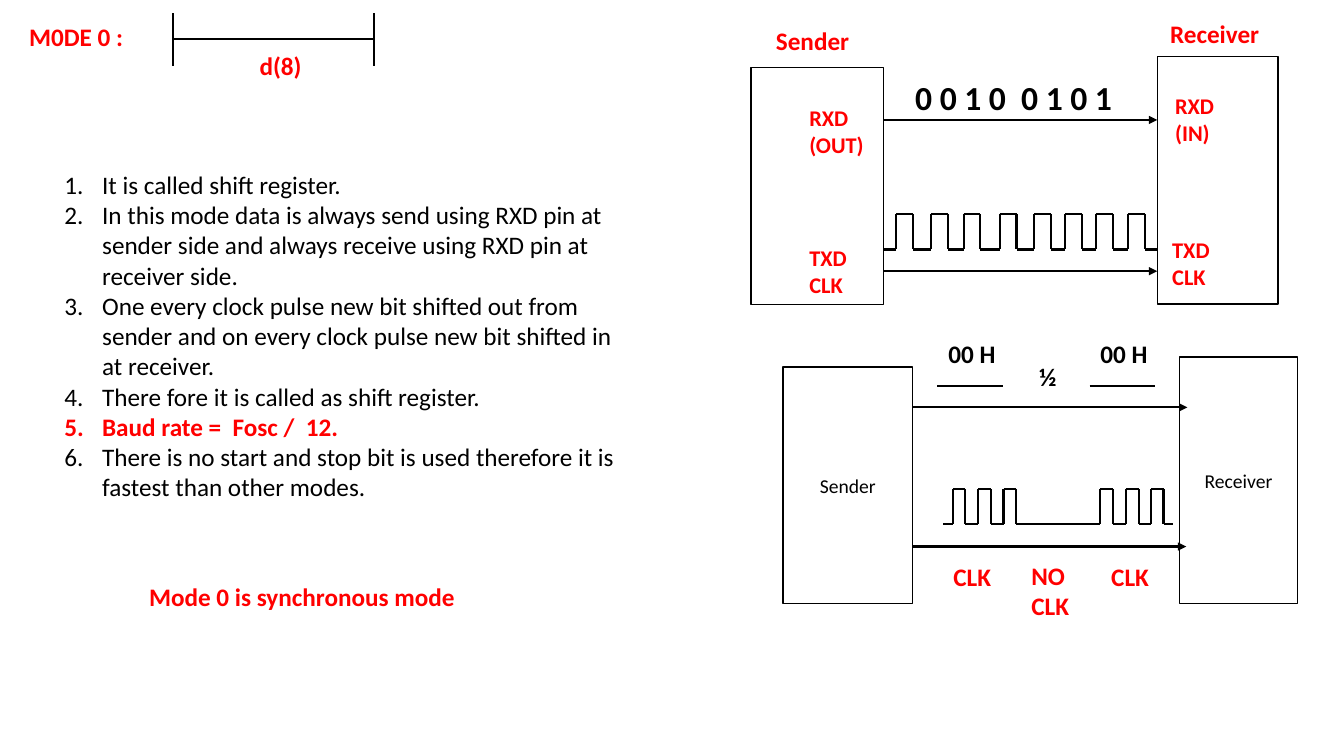
from dataclasses import dataclass

from lxml.etree import SubElement
from pptx import Presentation
from pptx.dml.color import RGBColor
from pptx.enum.shapes import MSO_CONNECTOR, MSO_SHAPE
from pptx.enum.text import MSO_ANCHOR, MSO_AUTO_SIZE, PP_ALIGN
from pptx.oxml.ns import qn
from pptx.slide import Slide
from pptx.text.text import TextFrame
from pptx.util import Pt


@dataclass(frozen=True)
class Theme:
    font: str = "Calibri"
    ink: RGBColor = RGBColor(0, 0, 0)
    accent: RGBColor = RGBColor(255, 0, 0)
    body: float = 18
    pin: float = 16
    device: float = 14
    bits: float = 24
    outline: float = 1
    stroke: float = 1.5


THEME = Theme()


@dataclass(frozen=True)
class Label:
    text: str
    left: float
    top: float
    width: float
    height: float
    size: float = THEME.body
    color: RGBColor = THEME.accent
    wrap: bool = True


@dataclass(frozen=True)
class Device:
    left: float
    top: float
    width: float
    height: float
    name: str = ""


@dataclass(frozen=True)
class Stroke:
    x1: float
    y1: float
    x2: float
    y2: float
    arrow: bool = False


@dataclass(frozen=True)
class Clock:
    starts: tuple[float, ...]
    high: float
    low: float
    lead: float
    pulse: float


DEVICES = [
    Device(536.4, 48.2, 94.8, 169.2),
    Device(826.6, 40.4, 86.4, 176.8),
    Device(559.4, 262.1, 92.5, 169.2, "Sender"),
    Device(842.4, 254.9, 84.6, 176.4, "Receiver"),
]

STROKES = [
    Stroke(123.5, 28, 267.1, 28),
    Stroke(123.8, 9.4, 123.8, 46.8),
    Stroke(267.1, 9.4, 267.1, 46.8),
    Stroke(631, 85.7, 826.6, 85.7, True),
    Stroke(631, 193.7, 826.6, 193.7, True),
    Stroke(652, 291, 848.2, 291, True),
    Stroke(652, 390.4, 847.4, 390.4, True),
    Stroke(669.6, 275.8, 716.4, 275.8),
    Stroke(778.3, 275.8, 825.1, 275.8),
    Stroke(732.5, 374.6, 779, 374.6),
]

CLOCKS = [
    Clock((630.9, 655.8, 679.1, 704.9, 729.4, 751.8, 773.5, 796.4), 152.8, 178.2, 9.2, 12),
    Clock((673.7, 691.8, 709.9), 349.2, 374.6, 6.9, 9),
    Clock((779, 797.4, 815.2), 349.2, 374.6, 6.9, 9),
]

LABELS = [
    Label("d(8)", 178.3, 32.4, 51.4, 29),
    Label("M0DE 0 :", 13.7, 11.5, 90.7, 29),
    Label("Sender", 547.2, 14.4, 90.7, 29),
    Label("Receiver", 828.7, 9.6, 90.7, 29),
    Label("TXD\nCLK", 571, 170.6, 43.4, 46, THEME.pin),
    Label("RXD\n(OUT)", 571, 71.1, 54, 46, THEME.pin),
    Label("RXD\n(IN)", 832.3, 62.6, 54, 46, THEME.pin),
    Label("TXD\nCLK", 830.2, 165, 43.4, 46, THEME.pin),
    Label("0 0 1 0  0 1 0 1", 646.6, 51.1, 193.7, 36, THEME.bits, THEME.ink),
    Label("00 H", 670.3, 238.3, 49, 29, color=THEME.ink, wrap=False),
    Label("00 H", 779, 238.3, 49, 29, color=THEME.ink, wrap=False),
    Label("½", 735.1, 254.2, 31, 29, color=THEME.ink, wrap=False),
    Label("CLK", 673.9, 397.4, 41.8, 29, wrap=False),
    Label("CLK", 786.6, 397.1, 41.8, 29, wrap=False),
    Label("NO\nCLK", 729.6, 396.7, 43.2, 51, wrap=False),
    Label("Mode 0 is synchronous mode", 99.4, 411.8, 415.4, 29),
]

BAUD_RATE = "Baud rate =  Fosc /  12."
NOTES = [
    "It is called shift register.",
    "In this mode data is always send using RXD pin at sender side "
    "and always receive using RXD pin at receiver side.",
    "One every clock pulse new bit shifted out from sender "
    "and on every clock pulse new bit shifted in at receiver.",
    "There fore it is called as shift register.",
    BAUD_RATE,
    "There is no start and stop bit is used therefore it is fastest than other modes.",
]


def style_text(frame: TextFrame, size: float, color: RGBColor, bold: bool) -> None:
    for para in frame.paragraphs:
        for span in para.runs:
            span.font.name = THEME.font
            span.font.size = Pt(size)
            span.font.color.rgb = color
            span.font.bold = bold


def add_label(page: Slide, label: Label) -> TextFrame:
    box = page.shapes.add_textbox(
        Pt(label.left), Pt(label.top), Pt(label.width), Pt(label.height)
    )
    frame = box.text_frame
    frame.word_wrap = label.wrap
    frame.auto_size = MSO_AUTO_SIZE.SHAPE_TO_FIT_TEXT
    frame.text = label.text
    style_text(frame, label.size, label.color, True)
    return frame


def add_notes(page: Slide) -> None:
    frame = add_label(page, Label("\n".join(NOTES), 38.9, 117.4, 415.4, 247))
    style_text(frame, THEME.body, THEME.ink, False)
    for para in frame.paragraphs:
        properties = para._p.get_or_add_pPr()
        properties.set("marL", str(Pt(27)))
        properties.set("indent", str(-Pt(27)))
        SubElement(properties, qn("a:buAutoNum"), type="arabicPeriod")
        if para.text == BAUD_RATE:
            para.runs[0].font.bold = True
            para.runs[0].font.color.rgb = THEME.accent


def add_device(page: Slide, device: Device) -> None:
    box = page.shapes.add_shape(
        MSO_SHAPE.RECTANGLE,
        Pt(device.left), Pt(device.top), Pt(device.width), Pt(device.height),
    )
    box.shadow.inherit = False
    box.fill.background()
    box.line.color.rgb = THEME.ink
    box.line.width = Pt(THEME.outline)
    if device.name:
        frame = box.text_frame
        frame.text = device.name
        frame.vertical_anchor = MSO_ANCHOR.MIDDLE
        frame.paragraphs[0].alignment = PP_ALIGN.CENTER
        style_text(frame, THEME.device, THEME.ink, False)


def add_stroke(page: Slide, stroke: Stroke) -> None:
    line = page.shapes.add_connector(
        MSO_CONNECTOR.STRAIGHT,
        Pt(stroke.x1), Pt(stroke.y1), Pt(stroke.x2), Pt(stroke.y2),
    )
    line.line.color.rgb = THEME.ink
    line.line.width = Pt(THEME.stroke)
    if stroke.arrow:
        SubElement(line.line._get_or_add_ln(), qn("a:tailEnd"), type="triangle")
    SubElement(line._element.spPr, qn("a:effectLst"))


def add_clock(page: Slide, clock: Clock) -> None:
    for start in clock.starts:
        rise = start + clock.lead
        fall = rise + clock.pulse
        corners = [
            (start, clock.low), (rise, clock.low), (rise, clock.high),
            (fall, clock.high), (fall, clock.low), (fall + clock.lead, clock.low),
        ]
        for begin, end in zip(corners, corners[1:]):
            add_stroke(page, Stroke(*begin, *end))


def main() -> None:
    deck = Presentation()
    deck.slide_width, deck.slide_height = Pt(960), Pt(540)
    page = deck.slides.add_slide(deck.slide_layouts[6])
    for device in DEVICES:
        add_device(page, device)
    for stroke in STROKES:
        add_stroke(page, stroke)
    for clock in CLOCKS:
        add_clock(page, clock)
    for label in LABELS:
        add_label(page, label)
    add_notes(page)
    deck.save("out.pptx")


if __name__ == "__main__":
    main()
